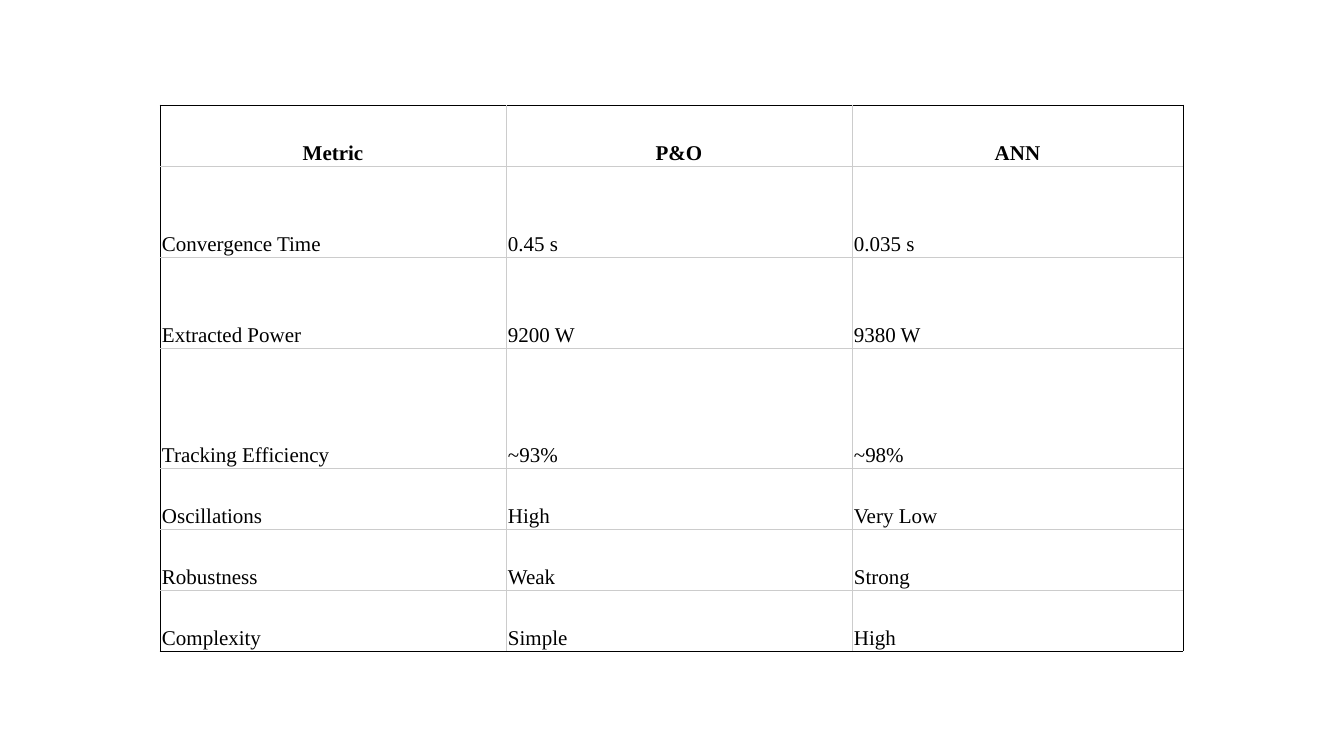
from lxml import etree
from pptx import Presentation
from pptx.dml.color import RGBColor
from pptx.enum.text import MSO_ANCHOR, PP_ALIGN
from pptx.oxml.ns import qn
from pptx.util import Pt

ROWS = [
    ("Metric", "P&O", "ANN"),
    ("Convergence Time", "0.45 s", "0.035 s"),
    ("Extracted Power", "9200 W", "9380 W"),
    ("Tracking Efficiency", "~93%", "~98%"),
    ("Oscillations", "High", "Very Low"),
    ("Robustness", "Weak", "Strong"),
    ("Complexity", "Simple", "High"),
]
WIDTHS = [346, 346, 331]
HEIGHTS = [61, 91, 91, 120, 61, 61, 61]
LEFT, TOP = 160, 105
PAD_X, PAD_Y = 2, 1

BLACK = RGBColor(0x00, 0x00, 0x00)
GREY = RGBColor(0xCC, 0xCC, 0xCC)
FONT = "Times New Roman"
BOTTOM = MSO_ANCHOR.BOTTOM
CENTER, START = PP_ALIGN.CENTER, PP_ALIGN.LEFT


def px(n):
    return round(n * 914400 / 100.8)


def add_edges(cell, colors):
    """Draw the left, right, top and bottom borders ahead of the cell fill."""
    props = cell._tc.get_or_add_tcPr()
    for spot, (side, color) in enumerate(zip("LRTB", colors)):
        line = etree.Element(qn(f"a:ln{side}"), w=str(Pt(0.6)))
        fill = etree.SubElement(line, qn("a:solidFill"))
        etree.SubElement(fill, qn("a:srgbClr"), val=str(color))
        props.insert(spot, line)


def fill_cell(cell, text, head):
    cell.fill.background()
    cell.vertical_anchor = BOTTOM
    cell.margin_left = cell.margin_right = px(PAD_X)
    cell.margin_top = cell.margin_bottom = px(PAD_Y)
    para = cell.text_frame.paragraphs[0]
    para.alignment = CENTER if head else START
    run = para.add_run()
    run.text = text
    font = run.font
    font.name, font.size, font.bold = FONT, Pt(15), head
    font.color.rgb = BLACK


def add_grid(slide):
    last_row, last_col = len(ROWS) - 1, len(WIDTHS) - 1
    table = slide.shapes.add_table(
        len(ROWS), len(WIDTHS), px(LEFT), px(TOP),
        px(sum(WIDTHS)), px(sum(HEIGHTS))).table
    table.first_row = table.horz_banding = False
    for col, width in zip(table.columns, WIDTHS):
        col.width = px(width)
    for row, height in zip(table.rows, HEIGHTS):
        row.height = px(height)
    for r, texts in enumerate(ROWS):
        for c, text in enumerate(texts):
            cell = table.cell(r, c)
            fill_cell(cell, text, r == 0)
            outer = (c == 0, c == last_col, r == 0, r == last_row)
            add_edges(cell, [BLACK if out else GREY for out in outer])


def main():
    deck = Presentation()
    deck.slide_width, deck.slide_height = px(1344), px(756)
    add_grid(deck.slides.add_slide(deck.slide_layouts[6]))
    deck.save("out.pptx")


if __name__ == "__main__":
    main()
